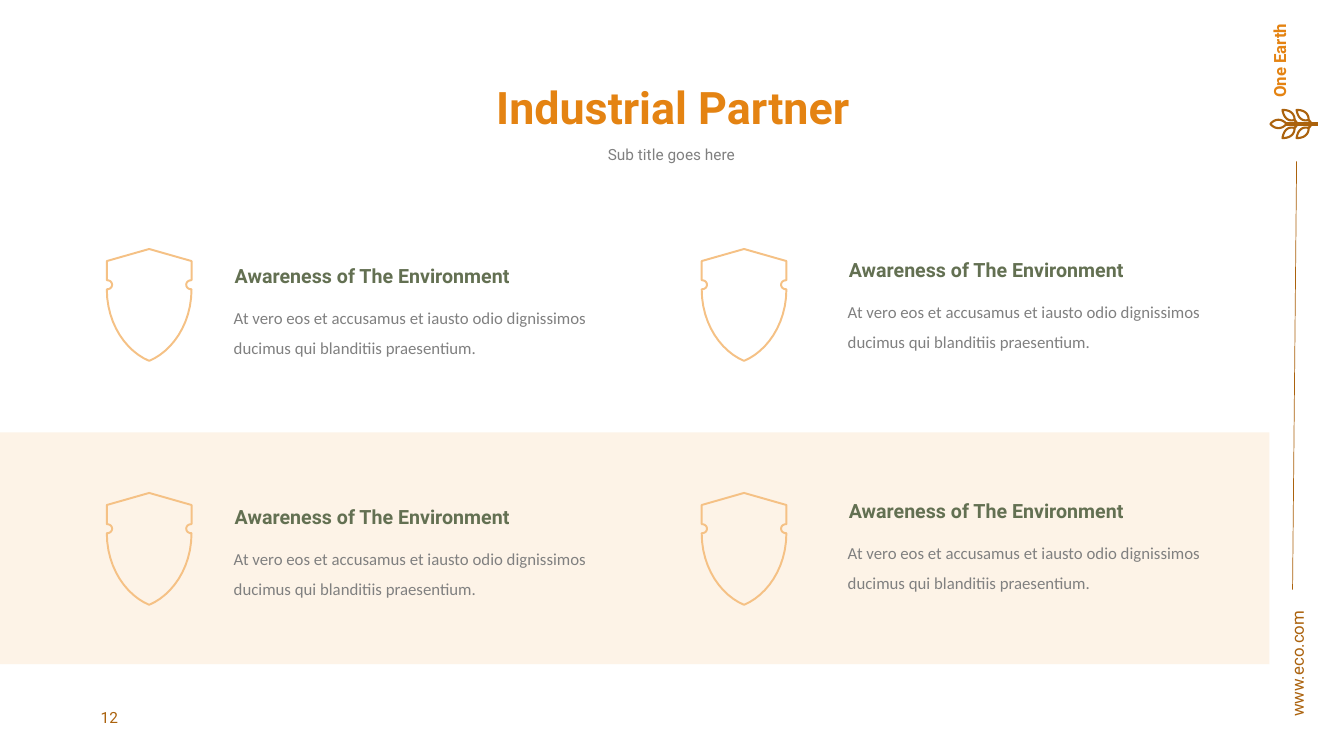
import lxml.etree
import pptx
import pptx.dml.color
import pptx.enum.shapes
import pptx.enum.text
import pptx.oxml.ns
import pptx.util

Inches = pptx.util.Inches
Align = pptx.enum.text.PP_ALIGN
Anchor = pptx.enum.text.MSO_ANCHOR

COLORS = {
    "orange": "E48312",
    "brown": "AB620D",
    "band": "FDF3E7",
    "shield": "F5C185",
    "green": "637052",
    "grey": "808080",
}


def curve(start, control_1, control_2, end, steps=12):
    """Return points along a cubic curve, both ends included."""
    points = []
    for step in range(steps + 1):
        t = step / steps
        weights = ((1 - t) ** 3, 3 * t * (1 - t) ** 2, 3 * t * t * (1 - t), t ** 3)
        corners = (start, control_1, control_2, end)
        points.append(tuple(sum(w * c[axis] for w, c in zip(weights, corners)) for axis in (0, 1)))
    return points


class SlideBuilder:
    """Hold the style and the current slide, and add elements to it."""

    def __init__(self, slide, colors):
        self.slide = slide
        self.colors = colors

    def color(self, name):
        return pptx.dml.color.RGBColor.from_string(self.colors[name])

    def set_text(self, frame, text, size, color, font="Roboto", bold=False,
                 align=Align.LEFT, anchor=Anchor.TOP, spacing=1.0):
        frame.word_wrap = True
        frame.auto_size = pptx.enum.text.MSO_AUTO_SIZE.NONE
        frame.vertical_anchor = anchor
        frame.text = text
        paragraph = frame.paragraphs[0]
        paragraph.alignment = align
        paragraph.line_spacing = spacing
        run_font = paragraph.runs[0].font
        run_font.name = font
        run_font.size = pptx.util.Pt(size)
        run_font.bold = bold
        run_font.color.rgb = self.color(color)

    def title(self, text, box, **style):
        heading = self.slide.shapes.title
        heading.left, heading.top, heading.width, heading.height = map(Inches, box)
        self.set_text(heading.text_frame, text, **style)

    def text(self, text, box, rotation=0, **style):
        label = self.slide.shapes.add_textbox(*map(Inches, box))
        label.rotation = rotation
        self.set_text(label.text_frame, text, **style)

    def band(self, box, color):
        band = self.slide.shapes.add_shape(
            pptx.enum.shapes.MSO_SHAPE.RECTANGLE, *map(Inches, box))
        band.shadow.inherit = False
        band.fill.solid()
        band.fill.fore_color.rgb = self.color(color)
        band.line.fill.background()

    def outline(self, points, color, width):
        corners = [(Inches(x), Inches(y)) for x, y in points]
        builder = self.slide.shapes.build_freeform(*corners[0])
        builder.add_line_segments(corners[1:], close=True)
        figure = builder.convert_to_shape()
        figure.shadow.inherit = False
        figure.fill.background()
        figure.line.color.rgb = self.color(color)
        figure.line.width = pptx.util.Pt(width)

    def line(self, start, end, color, width):
        rule = self.slide.shapes.add_connector(
            pptx.enum.shapes.MSO_CONNECTOR.STRAIGHT, *map(Inches, start + end))
        rule.line.color.rgb = self.color(color)
        rule.line.width = pptx.util.Pt(width)
        lxml.etree.SubElement(rule._element.spPr, pptx.oxml.ns.qn("a:effectLst"))

    def shield(self, center, top):
        right = [(0, 0), (0.42, 0.12)]
        right += curve((0.42, 0.31), (0.35, 0.31), (0.35, 0.4), (0.42, 0.4))
        right += curve((0.42, 0.4), (0.42, 0.75), (0.22, 1.02), (0, 1.11))
        left = [(-x, y) for x, y in reversed(right[1:-1])]
        self.outline([(center + x, top + y) for x, y in right + left], "shield", 1.4)

    def sprig(self, left, middle):
        self.line((left + 0.17, middle), (left + 0.49, middle), "brown", 2.25)
        upper = curve((0.02, 0), (0.07, -0.06), (0.14, -0.05), (0.18, 0))
        lower = [(x, -y) for x, y in reversed(upper[1:-1])]
        self.outline([(left + x, middle + y) for x, y in upper + lower], "brown", 1.5)
        leaf = curve((0.14, -0.14), (0.22, -0.14), (0.26, -0.1), (0.26, -0.04))
        leaf += curve((0.26, -0.04), (0.19, -0.02), (0.15, -0.07), (0.14, -0.14))[1:-1]
        for shift in (0, 0.14):
            for side in (1, -1):
                base = left + shift
                self.outline([(base + x, middle + side * y) for x, y in leaf], "brown", 1.5)
                self.line((base + 0.26, middle - side * 0.04), (base + 0.29, middle),
                          "brown", 1.75)

    def partner(self, left, top, heading, description):
        self.text(heading, (left + 0.01, top, 3.76, 0.34), size=14, color="green", bold=True)
        self.text(description, (left, top + 0.33, 3.76, 0.71), size=12, color="grey",
                  font="Calibri", spacing=1.5)


def main():
    deck = pptx.Presentation()
    deck.slide_width, deck.slide_height = Inches(13.33), Inches(7.5)
    page = SlideBuilder(deck.slides.add_slide(deck.slide_layouts[5]), COLORS)

    page.text("www.eco.com", (11.93, 6.17, 1.77, 0.31), rotation=270, size=12,
              color="brown", anchor=Anchor.MIDDLE, spacing=1.5)
    page.sprig(12.58, 1.23)
    page.text("One Earth", (12.29, 0.32, 1, 0.5), rotation=270, size=12,
              color="orange", bold=True)
    page.line((12.86, 1.6), (12.82, 5.85), "brown", 0.5)

    page.band((0, 4.29, 12.59, 2.3), "band")
    page.title("Industrial Partner", (0.9, 0.67, 11.55, 0.85), size=32, color="orange",
               bold=True, align=Align.CENTER, anchor=Anchor.MIDDLE, spacing=0.9)
    page.text("Sub title goes here", (5.19, 1.3, 2.94, 0.35), size=11, color="grey",
              align=Align.CENTER, spacing=1.5)
    page.text("12", (0.9, 6.92, 2.14, 0.4), size=11, color="brown", anchor=Anchor.MIDDLE)

    for row in range(2):
        for shield_center, text_left, text_top in ((1.48, 2.22, 2.57), (7.38, 8.31, 2.51)):
            page.shield(shield_center, 2.47 + row * 2.42)
            page.partner(text_left, text_top + row * 2.39, "Awareness of The Environment",
                         "At vero eos et accusamus et iausto odio dignissimos "
                         "ducimus qui blanditiis praesentium.")

    deck.save("out.pptx")


if __name__ == "__main__":
    main()
